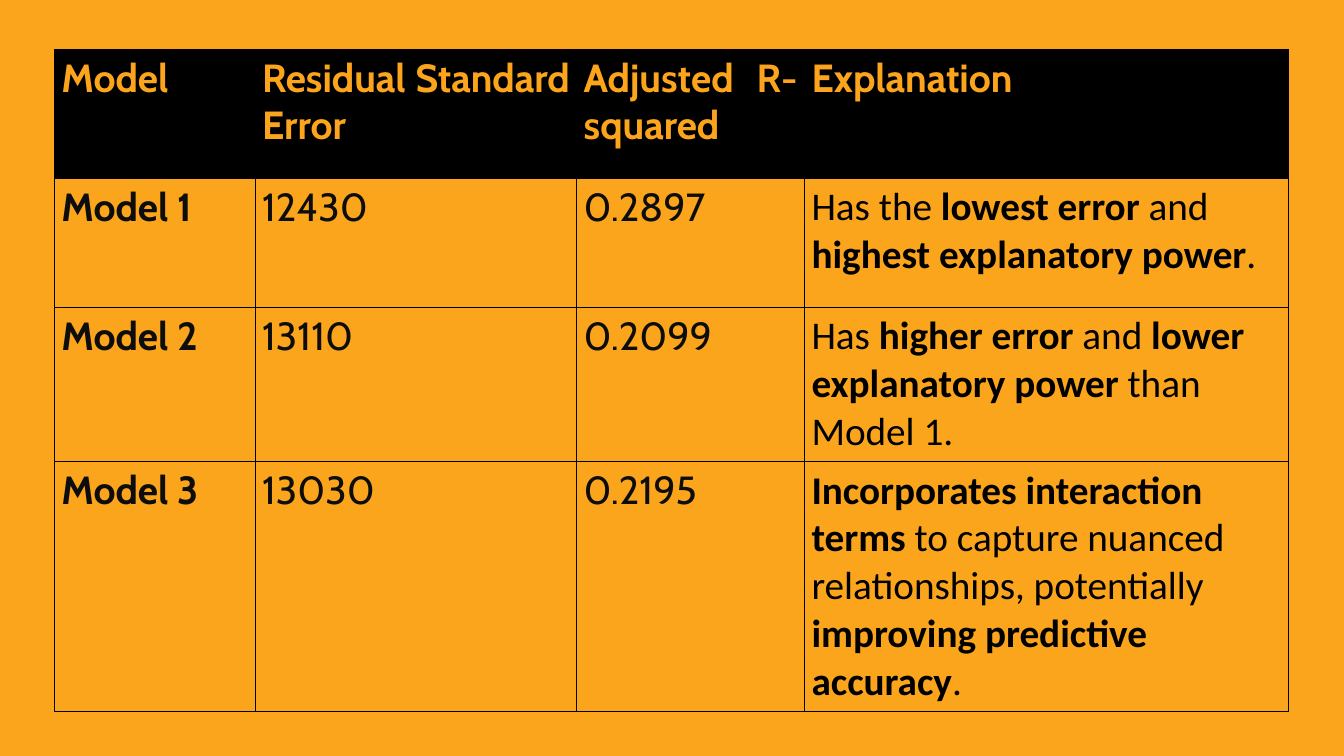
import pptx
import pptx.dml.color
import pptx.enum.text
import pptx.oxml
import pptx.oxml.ns
import pptx.util
from pptx.util import Inches

COLORS = {
    "background": "FBA51C",
    "header_text": "FCA51C",
    "header_fill": "000000",
    "border": "000000",
    "value": "0D0D0D",
    "explanation": "000000",
}
COL_WIDTHS = [1.99, 3.19, 2.26, 4.8]
ROW_HEIGHTS = [1.28, 1.28, 1.53, 2.47]
HEADER = ["Model", "Residual Standard Error", "Adjusted R-squared", "Explanation"]
MODELS = [
    ("Model 1", "12430", "0.2897",
     [("Has the ", False), ("lowest error", True), (" and ", False),
      ("highest explanatory power", True), (".", False)]),
    ("Model 2", "13110", "0.2099",
     [("Has ", False), ("higher error", True), (" and ", False),
      ("lower explanatory power", True), (" than Model 1.", False)]),
    ("Model 3", "13030", "0.2195",
     [("Incorporates interaction terms", True),
      (" to capture nuanced relationships, potentially ", False),
      ("improving predictive accuracy", True), (".", False)]),
]


def rgb(name):
    return pptx.dml.color.RGBColor.from_string(COLORS[name])


def add_text(p, text, color, font="Cabin", size=28, bold=False):
    r = p.add_run()
    r.text = text
    r.font.name = font
    r.font.size = pptx.util.Pt(size)
    r.font.bold = bold
    r.font.color.rgb = rgb(color)


def add_borders(cell):
    tcPr = cell._tc.get_or_add_tcPr()
    for i, side in enumerate(("lnL", "lnR", "lnT", "lnB")):
        line = pptx.oxml.parse_xml(
            f'<a:{side} {pptx.oxml.ns.nsdecls("a")} w="9525"><a:solidFill>'
            f'<a:srgbClr val="{COLORS["border"]}"/></a:solidFill></a:{side}>')
        tcPr.insert(i, line)


def format_cell(cell, fill=None):
    cell.margin_left = cell.margin_right = Inches(0.07)
    cell.margin_top = cell.margin_bottom = Inches(0.05)
    if fill:
        cell.fill.solid()
        cell.fill.fore_color.rgb = rgb(fill)
    else:
        cell.fill.background()
    add_borders(cell)


def fill_cell(cell, runs, color, font="Cabin", justify=True, fill=None):
    format_cell(cell, fill)
    p = cell.text_frame.paragraphs[0]
    align = pptx.enum.text.PP_ALIGN
    p.alignment = align.JUSTIFY if justify else align.LEFT
    for text, bold in runs:
        add_text(p, text, color, font=font, bold=bold)


def add_model_table(s):
    table = s.shapes.add_table(
        len(ROW_HEIGHTS), len(COL_WIDTHS), Inches(0.54), Inches(0.49),
        Inches(sum(COL_WIDTHS)), Inches(sum(ROW_HEIGHTS))).table
    table.horz_banding = False
    for col, width in zip(table.columns, COL_WIDTHS):
        col.width = Inches(width)
    for row, height in zip(table.rows, ROW_HEIGHTS):
        row.height = Inches(height)
    for col, title in enumerate(HEADER):
        fill_cell(table.cell(0, col), [(title, True)], "header_text", fill="header_fill")
    for row, (name, error, r_squared, explanation) in enumerate(MODELS, 1):
        for col, value in enumerate((name, error, r_squared)):
            fill_cell(table.cell(row, col), [(value, col == 0)], "value")
        fill_cell(table.cell(row, 3), explanation, "explanation",
                  font="Calibri", justify=False)


def main():
    prs = pptx.Presentation()
    prs.slide_width = Inches(13.33)
    prs.slide_height = Inches(7.5)
    s = prs.slides.add_slide(prs.slide_layouts[6])
    s.background.fill.solid()
    s.background.fill.fore_color.rgb = rgb("background")
    add_model_table(s)
    prs.save("out.pptx")


if __name__ == "__main__":
    main()
